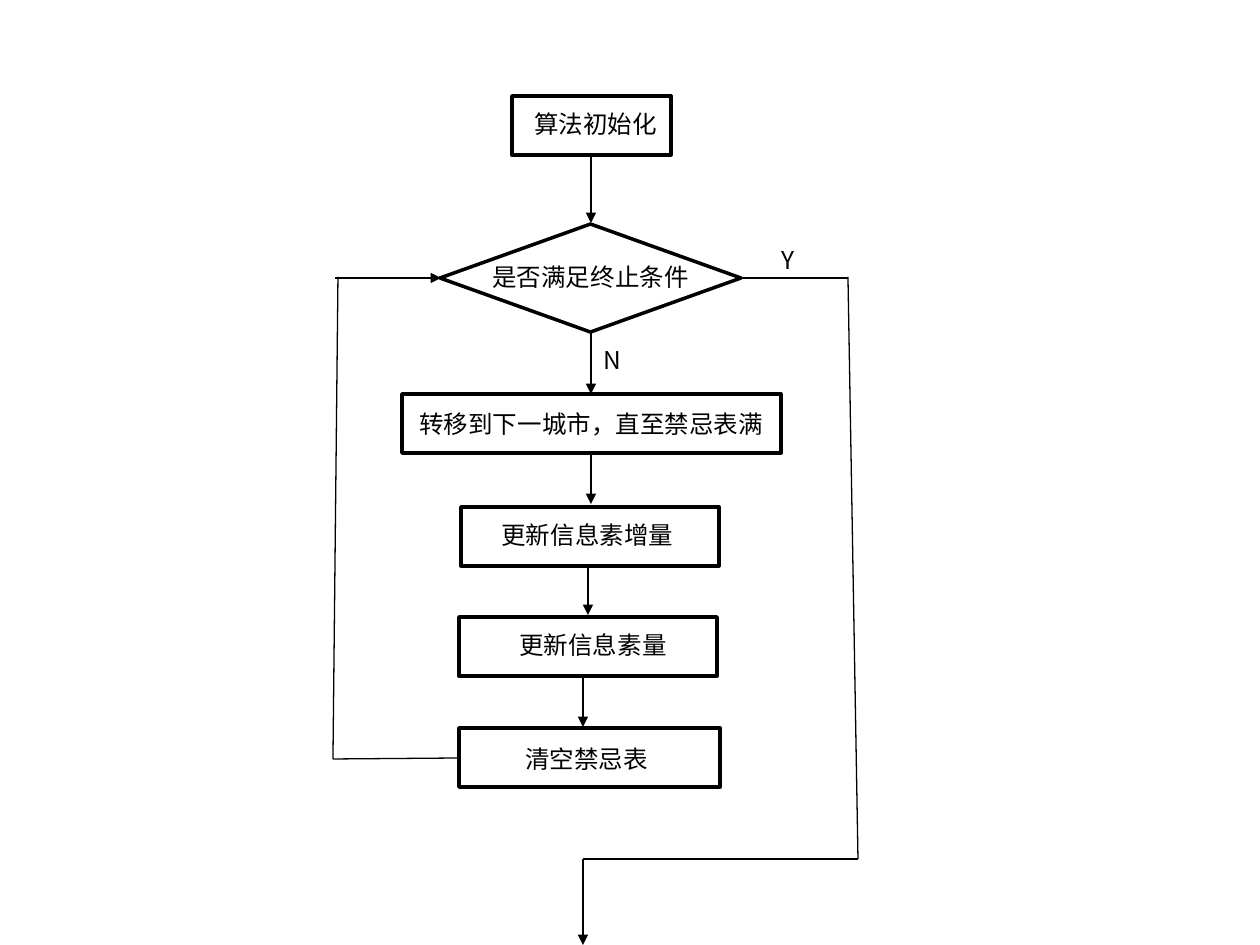
from lxml.etree import SubElement
from pptx import Presentation
from pptx.dml.color import RGBColor
from pptx.enum.shapes import MSO_CONNECTOR, MSO_SHAPE
from pptx.oxml.ns import qn
from pptx.util import Pt

PX = 914400 / 126
FONT = "Noto Sans CJK SC"
INK = "000000"
TEXT_FORMAT = {"name": FONT, "size": Pt(14)}
TEXT_HEIGHT = 43
RECT, DIAMOND = MSO_SHAPE.RECTANGLE, MSO_SHAPE.DIAMOND

STEPS = [
    (RECT, (512, 96, 159, 59), "算法初始化", (522, 103, 159)),
    (DIAMOND, (440, 224, 301, 108), "是否满足终止条件", (480, 256, 229)),
    (RECT, (402, 394, 379, 59), "转移到下一城市，直至禁忌表满", (407, 403, 393)),
    (RECT, (461, 507, 258, 59), "更新信息素增量", (489, 514, 281)),
    (RECT, (459, 617, 258, 59), "更新信息素量", (507, 624, 281)),
    (RECT, (459, 728, 261, 59), "清空禁忌表", (513, 738, 156)),
]
BRANCH_LABELS = [("Y", (769, 239, 63)), ("N", (591, 339, 63))]
ARROWS = [
    (591, 155, 591, 223),
    (591, 333, 591, 394),
    (591, 454, 591, 504),
    (588, 566, 588, 615),
    (583, 677, 583, 727),
    (335, 278, 441, 278),
    (583, 859, 583, 945),
]
PLAIN_LINES = [
    (741, 278, 848, 278),
    (848, 277, 858, 859),
    (858, 859, 583, 859),
    (459, 758, 333, 759),
    (333, 759, 338, 277),
]


def emu(lengths):
    return [round(n * PX) for n in lengths]


def color(value):
    return RGBColor.from_string(value)


def add_step(s, kind, box):
    sp = s.shapes.add_shape(kind, *emu(box))
    sp.shadow.inherit = False
    sp.fill.background()
    sp.line.color.rgb = color(INK)
    sp.line.width = Pt(2)


def add_text(s, text, place):
    tf = s.shapes.add_textbox(*emu((*place, TEXT_HEIGHT))).text_frame
    tf.word_wrap = True
    r = tf.paragraphs[0].add_run()
    r.text = text
    for name, value in TEXT_FORMAT.items():
        setattr(r.font, name, value)
    r.font.color.rgb = color(INK)
    SubElement(r.font._element, qn("a:ea"), typeface=FONT)


def add_line(s, ends, arrow):
    cn = s.shapes.add_connector(MSO_CONNECTOR.STRAIGHT, *emu(ends))
    cn.line.color.rgb = color(INK)
    cn.line.width = Pt(0.75)
    if arrow:
        SubElement(cn.line._get_or_add_ln(), qn("a:tailEnd"), type="triangle")
    SubElement(cn._element.spPr, qn("a:effectLst"))


def main():
    prs = Presentation()
    prs.slide_width, prs.slide_height = emu((1260, 945))
    s = prs.slides.add_slide(prs.slide_layouts[6])
    for kind, box, text, place in STEPS:
        add_step(s, kind, box)
        add_text(s, text, place)
    for text, place in BRANCH_LABELS:
        add_text(s, text, place)
    for lines, arrow in ((PLAIN_LINES, False), (ARROWS, True)):
        for ends in lines:
            add_line(s, ends, arrow)
    prs.save("out.pptx")


if __name__ == "__main__":
    main()
